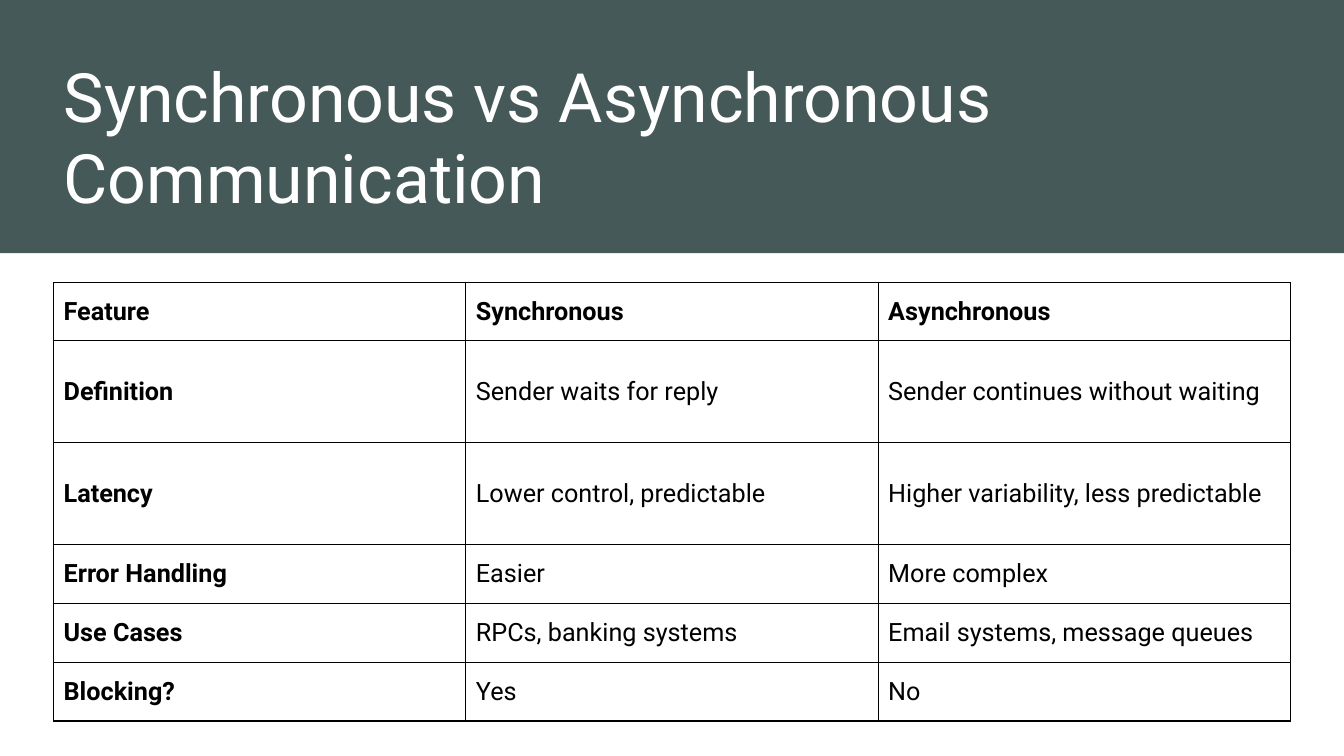
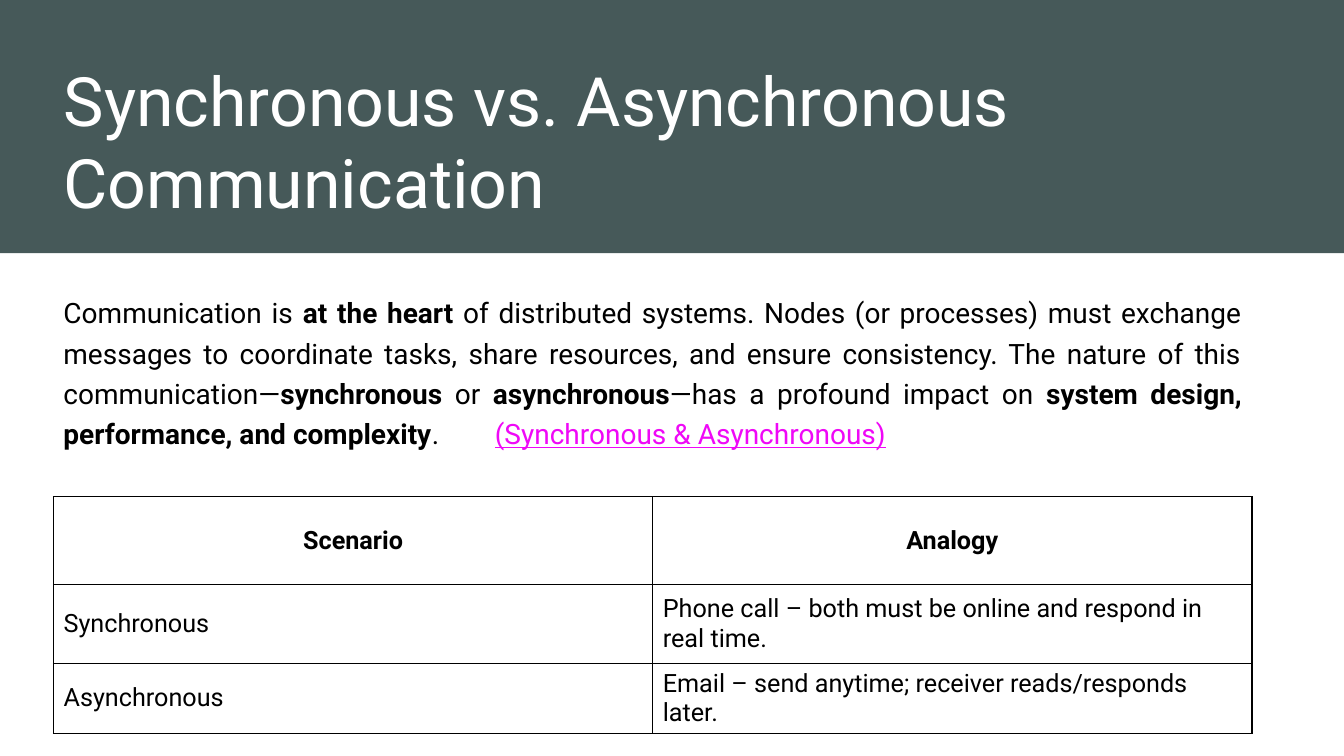
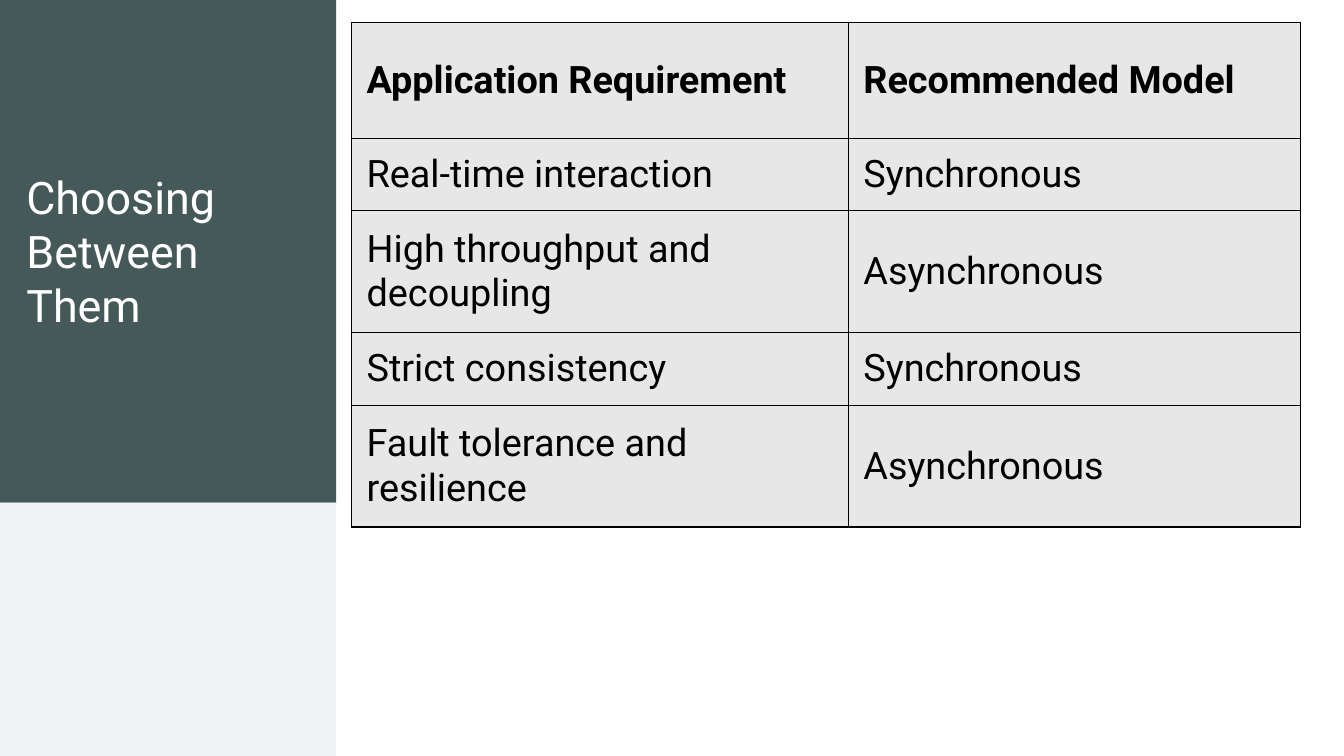
import dataclasses

import lxml.etree
import pptx
import pptx.dml.color
import pptx.enum.shapes
import pptx.enum.text
import pptx.oxml.ns
import pptx.util

Cm = pptx.util.Cm
Pt = pptx.util.Pt
qn = pptx.oxml.ns.qn
Align = pptx.enum.text.PP_ALIGN
Anchor = pptx.enum.text.MSO_ANCHOR


@dataclasses.dataclass(frozen=True)
class Theme:
    font: str = "Roboto"
    slate: str = "465959"
    pale: str = "F0F3F3"
    grey: str = "E7E7E7"
    white: str = "FFFFFF"
    black: str = "000000"
    pink: str = "EF08F7"
    head: float = 48.6
    side: float = 32
    body: float = 20
    cell: float = 18
    large: float = 27
    rule: float = 1
    wide: float = 33.87
    high: float = 19.05
    band: float = 6.38
    left: float = 1.35
    span: float = 30.2


THEME = Theme()


def rgb(code):
    return pptx.dml.color.RGBColor.from_string(code)


def write(frame, *parts, size, color=THEME.black, bold=False,
          align=Align.LEFT, anchor=Anchor.TOP, line=None, before=None):
    """Fill one paragraph; a part is a string or (string, font overrides)."""
    frame.word_wrap = True
    frame.vertical_anchor = anchor
    para = frame.paragraphs[0]
    para.alignment = align
    para.line_spacing = line
    para.space_before = before
    for part in parts:
        text, extra = (part, {}) if isinstance(part, str) else part
        run = para.add_run()
        run.text = text
        font = run.font
        font.name = THEME.font
        font.size = Pt(size)
        font.bold = extra.get("bold", bold)
        font.underline = extra.get("line", False)
        font.color.rgb = rgb(extra.get("color", color))
    return para


def block(slide, left, top, width, height, color):
    """Add a plain rectangle behind the title."""
    shape = slide.shapes.add_shape(
        pptx.enum.shapes.MSO_SHAPE.RECTANGLE,
        Cm(left), Cm(top), Cm(width), Cm(height))
    shape.shadow.inherit = False
    shape.fill.solid()
    shape.fill.fore_color.rgb = rgb(color)
    shape.line.fill.background()
    slide.shapes.title.element.addprevious(shape.element)


def title(slide, text, left, top, width, height, size, anchor):
    shape = slide.shapes.title
    shape.left, shape.top = Cm(left), Cm(top)
    shape.width, shape.height = Cm(width), Cm(height)
    shape.text_frame.auto_size = pptx.enum.text.MSO_AUTO_SIZE.NONE
    write(shape.text_frame, text, size=size, color=THEME.white, anchor=anchor)


def start(deck):
    return deck.slides.add_slide(deck.slide_layouts[5])


def banded(deck, text, top):
    """Start a slide with the full-width title band."""
    slide = start(deck)
    block(slide, 0, 0, THEME.wide, THEME.band, THEME.slate)
    title(slide, text, THEME.left, top, THEME.span, 4.7,
          THEME.head, Anchor.BOTTOM)
    return slide


def border(cell):
    props = cell._tc.get_or_add_tcPr()
    for side in ("a:lnL", "a:lnR", "a:lnT", "a:lnB"):
        edge = lxml.etree.SubElement(
            props, qn(side), w=str(Pt(THEME.rule)))
        fill = lxml.etree.SubElement(edge, qn("a:solidFill"))
        lxml.etree.SubElement(fill, qn("a:srgbClr"), val=THEME.black)


def grid(slide, left, top, cols, rows, data, size=THEME.cell, fill=None,
         pad=None, lead=False, align=Align.LEFT):
    """Add a ruled table; lead makes the first column bold."""
    table = slide.shapes.add_table(
        len(rows), len(cols), Cm(left), Cm(top),
        Cm(sum(cols)), Cm(sum(rows))).table
    table.first_row = table.horz_banding = False
    for col, width in zip(table.columns, cols):
        col.width = Cm(width)
    for row, height in zip(table.rows, rows):
        row.height = Cm(height)
    for y, line in enumerate(data):
        for x, text in enumerate(line):
            cell = table.cell(y, x)
            border(cell)
            if fill:
                cell.fill.solid()
                cell.fill.fore_color.rgb = rgb(fill)
            else:
                cell.fill.background()
            if pad:
                cell.margin_left = cell.margin_right = Cm(pad[0])
                cell.margin_top = cell.margin_bottom = Cm(pad[1])
            write(cell.text_frame, text, size=size,
                  bold=y == 0 or (lead and x == 0),
                  align=align if y == 0 else Align.LEFT)
            cell.vertical_anchor = Anchor.MIDDLE


def tab(para, stop):
    """Set one left tab stop."""
    props = para._p.get_or_add_pPr()
    stops = lxml.etree.SubElement(props, qn("a:tabLst"))
    lxml.etree.SubElement(stops, qn("a:tab"), pos=str(Cm(stop)), algn="l")


def compare(deck):
    slide = banded(deck, "Synchronous vs Asynchronous Communication", 0.91)
    low, tall = 1.48, 2.57
    grid(slide, THEME.left, 7.11, [10.39] * 3,
         [low, tall, tall, low, low, low], [
             ("Feature", "Synchronous", "Asynchronous"),
             ("Definition", "Sender waits for reply",
              "Sender continues without waiting"),
             ("Latency", "Lower control, predictable",
              "Higher variability, less predictable"),
             ("Error Handling", "Easier", "More complex"),
             ("Use Cases", "RPCs, banking systems",
              "Email systems, message queues"),
             ("Blocking?", "Yes", "No"),
         ], lead=True)


def explain(deck):
    slide = banded(deck, "Synchronous vs. Asynchronous Communication", 1.02)
    box = slide.shapes.add_textbox(
        Cm(THEME.left), Cm(7.16), Cm(THEME.span), Cm(5))
    bold = {"bold": True}
    para = write(
        box.text_frame,
        "Communication is ", ("at the heart", bold),
        " of distributed systems. Nodes (or processes) must exchange "
        "messages to coordinate tasks, share resources, and ensure "
        "consistency. The nature of this communication—",
        ("synchronous", bold), " or ", ("asynchronous", bold),
        "—has a profound impact on ",
        ("system design, performance, and complexity", bold), ".\t",
        ("(Synchronous & Asynchronous)",
         {"color": THEME.pink, "line": True}),
        size=THEME.body, align=Align.JUSTIFY, line=1.2, before=Pt(10))
    tab(para, 10.87)
    grid(slide, THEME.left, 12.52, [THEME.span / 2] * 2,
         [2.21, 1.98, 1.75], [
             ("Scenario", "Analogy"),
             ("Synchronous",
              "Phone call – both must be online and respond in real time."),
             ("Asynchronous",
              "Email – send anytime; receiver reads/responds later."),
         ], align=Align.CENTER)


def choose(deck):
    slide = start(deck)
    width, split = 8.47, THEME.high - THEME.band
    block(slide, 0, 0, width, split, THEME.slate)
    block(slide, 0, split, width, THEME.band, THEME.pale)
    title(slide, "Choosing Between Them", 0.41, 1.09, 7.29, 10.44,
          THEME.side, Anchor.MIDDLE)
    low, tall = 1.83, 3.07
    grid(slide, 8.86, 0.56, [12.52, 11.4], [2.92, low, tall, low, tall], [
        ("Application Requirement", "Recommended Model"),
        ("Real-time interaction", "Synchronous"),
        ("High throughput and decoupling", "Asynchronous"),
        ("Strict consistency", "Synchronous"),
        ("Fault tolerance and resilience", "Asynchronous"),
    ], size=THEME.large, fill=THEME.grey, pad=(0.38, 0.18))


def main():
    deck = pptx.Presentation()
    deck.slide_width, deck.slide_height = Cm(THEME.wide), Cm(THEME.high)
    compare(deck)
    explain(deck)
    choose(deck)
    deck.save("out.pptx")


if __name__ == "__main__":
    main()
